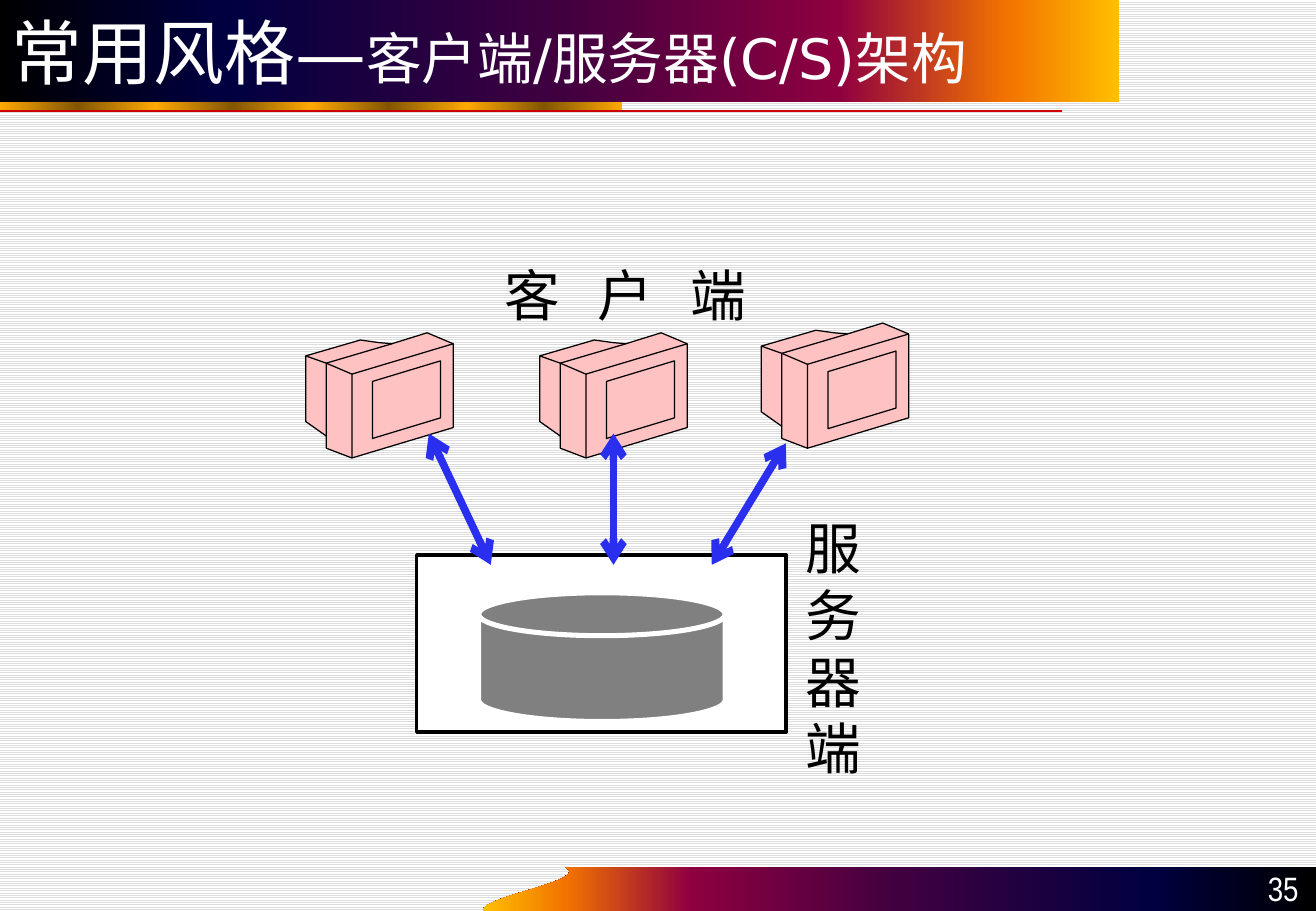
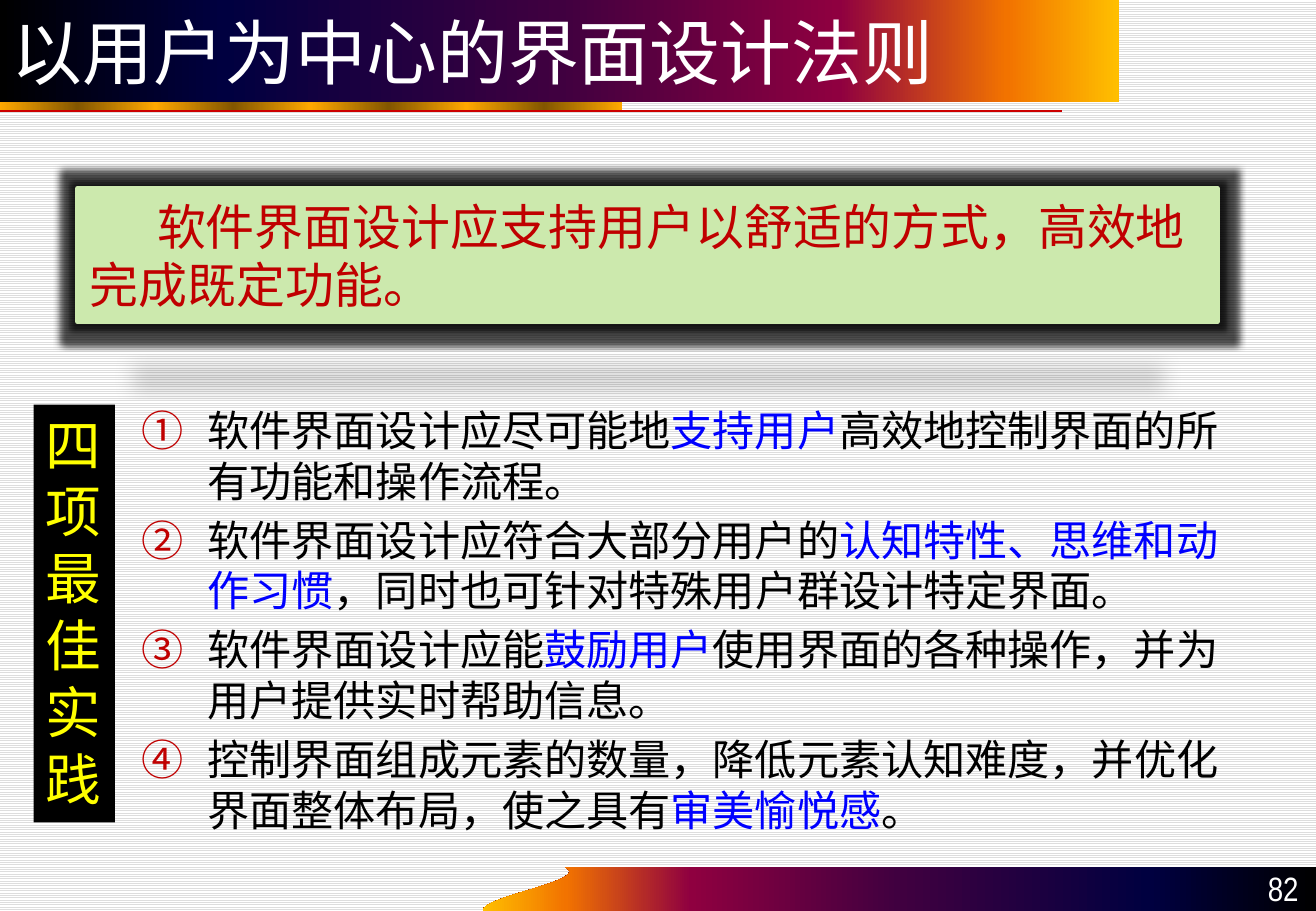
from lxml import etree
from pptx import Presentation
from pptx.dml.color import RGBColor
from pptx.enum.dml import MSO_PATTERN
from pptx.enum.shapes import MSO_CONNECTOR, MSO_SHAPE
from pptx.enum.text import MSO_ANCHOR, PP_ALIGN
from pptx.oxml.ns import qn
from pptx.util import Pt

RECT, DISK = MSO_SHAPE.RECTANGLE, MSO_SHAPE.FLOWCHART_MAGNETIC_DISK
STRAIGHT = MSO_CONNECTOR.STRAIGHT
TOP, MIDDLE, BOTTOM = MSO_ANCHOR.TOP, MSO_ANCHOR.MIDDLE, MSO_ANCHOR.BOTTOM
LEFT, CENTER, RIGHT = PP_ALIGN.LEFT, PP_ALIGN.CENTER, PP_ALIGN.RIGHT


class Theme:
    black, white, grey, stripe = "000000", "FFFFFF", "808080", "DDDDDD"
    red, rule, blue, yellow = "C00000", "CC0000", "0000FF", "FFFF00"
    pink, arrow, green = "FFC2C2", "292EEF", "CCE9AD"
    band = [(0, "000000"), (20, "000040"), (50, "400040"),
            (75, "8F0040"), (90, "F27300"), (100, "FFBF00")]
    gold = [(i * 12.5, ("FFA800", "825600")[i % 2]) for i in range(9)]
    sans, cjk, narrow = "DejaVu Sans", "Noto Sans CJK SC", "Arial Narrow"
    title, label, lead, body, page = 42, 33, 29, 25, 20


# Content: a run is (text, format values that differ from the box's own)
TITLE_CS = [("常用风格—", {}), ("客户端/服务器(C/S)架构", {"size": Theme.label})]
TITLE_UI = [("以用户为中心的界面设计法则", {})]
CLIENT, SERVER, SIDE = "客 户 端", "服务器端", "四项最佳实践"
LEAD = "软件界面设计应支持用户以舒适的方式，高效地完成既定功能。"
KEY = {"color": Theme.blue}
RULES = [
    [("软件界面设计应尽可能地", {}), ("支持用户", KEY),
     ("高效地控制界面的所有功能和操作流程。", {})],
    [("软件界面设计应符合大部分用户的", {}), ("认知特性、思维和动作习惯", KEY),
     ("，同时也可针对特殊用户群设计特定界面。", {})],
    [("软件界面设计应能", {}), ("鼓励用户", KEY),
     ("使用界面的各种操作，并为用户提供实时帮助信息。", {})],
    [("控制界面组成元素的数量，降低元素认知难度，并优化界面整体布局，使之具有", {}),
     ("审美愉悦感", KEY), ("。", {})],
]

# Outlines of one computer, from its own top left corner
CASE = [(27.4, 74.2), (12.2, 68.4), (12.2, 61.2), (0, 52.6), (0, 13.7),
        (32.4, 4.3), (43.2, 5.8), (51.1, 6.5), (72, 0), (87.4, 6.5), (87.4, 56.2)]
SCREEN = [(79.9, 50.4), (79.9, 16.6), (39.6, 28.8), (39.6, 62.6)]
EDGES = [[(0, 13.7), (12.2, 18), (27.4, 24.5)],
         [(12.2, 61.2), (12.2, 18), (51.1, 6.5)],
         [(87.4, 6.5), (27.4, 24.5), (27.4, 74.2)]]
CLIENTS = [(181.2, 197.3), (319.9, 197.3), (451.2, 191.5)]
ARROWS = [(254.2, 257, 290.9, 334.8), (363.6, 257, 363.6, 334.8),
          (465.8, 262.8, 421.9, 334.8)]


def rgb(code):
    return RGBColor.from_string(code)


def add(parent, tag, **values):
    node = etree.SubElement(parent, qn(tag))
    for name, value in values.items():
        node.set(name, str(value))
    return node


def paint(shape, fill=None, line=None, width=0.75):
    shape.shadow.inherit = False
    if fill:
        shape.fill.solid()
        shape.fill.fore_color.rgb = rgb(fill)
    else:
        shape.fill.background()
    if line:
        shape.line.color.rgb = rgb(line)
        shape.line.width = Pt(width)
    else:
        shape.line.fill.background()
    return shape


def blend(shape, stops, angle=0):
    """Fill a shape with a linear gradient of (percent, colour) stops."""
    paint(shape)
    shape.fill.gradient()
    shape.fill.gradient_angle = angle
    part = next(shape._element.iter(qn("a:gsLst")))
    part.clear()
    for pos, code in stops:
        stop = add(part, "a:gs", pos=int(pos * 1000))
        add(stop, "a:srgbClr", val=code)
    return shape


def block(slide, kind, box, **look):
    return paint(slide.shapes.add_shape(kind, *map(Pt, box)), **look)


def trace(slide, paths, at=(0, 0), close=True):
    """Draw point lists as one freeform, moved by at."""
    moved = [[(Pt(x + at[0]), Pt(y + at[1])) for x, y in path] for path in paths]
    pen = slide.shapes.build_freeform(*moved[0][0])
    for i, path in enumerate(moved):
        if i:
            pen.move_to(*path[0])
        pen.add_line_segments(path[1:], close=close)
    return pen.convert_to_shape()


def stroke(slide, ends, color, width, heads=False):
    line = slide.shapes.add_connector(STRAIGHT, *map(Pt, ends))
    line.line.color.rgb = rgb(color)
    line.line.width = Pt(width)
    if heads:
        for tag in ("a:headEnd", "a:tailEnd"):
            add(line.line._get_or_add_ln(), tag, type="arrow")
    add(line._element.spPr, "a:effectLst")


def write(shape, paras, size, color, font=Theme.sans, align=LEFT, anchor=TOP,
          wrap=True, gap=0, track=0):
    """Fill a shape with paragraphs, each a list of (text, format) runs."""
    frame = shape.text_frame
    frame.word_wrap, frame.vertical_anchor = wrap, anchor
    for i, runs in enumerate(paras):
        para = frame.add_paragraph() if i else frame.paragraphs[0]
        para.alignment, para.line_spacing = align, Pt(size * 1.2)
        para.space_before = Pt(gap if i else 0)
        for text, extra in runs:
            look = {"size": size, "color": color, **extra}
            run = para.add_run()
            run.text = text
            values = {"size": Pt(look["size"]), "name": font}
            for name, value in values.items():
                setattr(run.font, name, value)
            run.font.color.rgb = rgb(look["color"])
            props = run._r.get_or_add_rPr()
            add(props, "a:ea", typeface=font)
            if track:
                props.set("spc", str(int(track * 100)))
    return frame


def label(slide, box, paras, size, color, **look):
    shape = slide.shapes.add_textbox(*map(Pt, box))
    return write(shape, paras, size, color, **look)


def stack(text):
    """One paragraph for each character."""
    return [[(char, {})] for char in text]


def bezier(a, b, c, d, steps=16):
    for i in range(steps + 1):
        t = i / steps
        u = 1 - t
        yield tuple(u**3 * p + 3 * u * u * t * q + 3 * u * t * t * r + t**3 * s
                    for p, q, r, s in zip(a, b, c, d))


def start(prs, title, page):
    """Add a slide with the shared bands, its title and its number."""
    slide = prs.slides.add_slide(prs.slide_layouts[6])
    wave = list(bezier((286, 540), (286, 531), (351, 522), (335, 514)))
    blend(trace(slide, [wave + [(780, 514), (780, 540)]]), Theme.band, 180)
    blend(block(slide, RECT, (0, 55, 368.6, 10.5)), Theme.gold)
    stroke(slide, (0, 65.8, 629.3, 65.8), Theme.rule, 0.75)
    head = blend(block(slide, RECT, (0, 0, 663, 60.5)), Theme.band)
    write(head, [title], Theme.title, Theme.white, anchor=MIDDLE)
    label(slide, (707.8, 513.4, 69, 28.8), [[(page, {})]], Theme.page,
          Theme.white, font=Theme.narrow, align=RIGHT, anchor=BOTTOM)
    return slide


def draw_client(slide, at):
    look = {"fill": Theme.pink, "line": Theme.black}
    for path in (CASE, SCREEN):
        paint(trace(slide, [path], at), **look)
    paint(trace(slide, EDGES, at, close=False), line=Theme.black)


def build_cs(prs):
    slide = start(prs, TITLE_CS, "35")
    block(slide, RECT, (247, 329, 219, 105), fill=Theme.white,
          line=Theme.black, width=2)
    block(slide, DISK, (283.7, 351.4, 146.2, 76.3), fill=Theme.grey,
          line=Theme.white, width=3)
    for at in CLIENTS:
        draw_client(slide, at)
    for ends in ARROWS:
        stroke(slide, ends, Theme.arrow, 4.5, heads=True)
    label(slide, (470.2, 301, 47.5, 167), stack(SERVER), Theme.label,
          Theme.black, font=Theme.cjk, wrap=False)
    label(slide, (257.9, 151.2, 226, 47.5), [[(CLIENT, {})]], Theme.label,
          Theme.black, font=Theme.cjk, align=CENTER, track=7.4)


def add_glow(shape):
    """Dark halo round the shape and a flat shadow below it."""
    effects = shape._element.spPr.find(qn("a:effectLst"))
    halo = add(effects, "a:glow", rad=Pt(8))
    drop = add(effects, "a:outerShdw", blurRad=Pt(12), dist=Pt(25),
               dir=5400000, sx=90000, sy=-19000, rotWithShape=0)
    for node, alpha in ((halo, 70000), (drop, 15000)):
        add(add(node, "a:srgbClr", val=Theme.black), "a:alpha", val=alpha)


def number(para):
    props = para._p.get_or_add_pPr()
    props.set("marL", str(Pt(38.9)))
    props.set("indent", str(-Pt(38.9)))
    add(add(props, "a:buClr"), "a:srgbClr", val=Theme.red)
    add(props, "a:buFont", typeface=Theme.cjk)
    add(props, "a:buAutoNum", type="circleNumDbPlain")


def build_ui(prs):
    slide = start(prs, TITLE_UI, "82")
    rules = label(slide, (77, 236.2, 655, 255), RULES, Theme.body, Theme.black,
                  font=Theme.cjk, gap=5)
    for para in rules.paragraphs:
        number(para)
    lead = block(slide, RECT, (46, 111.6, 675.4, 79.2), fill=Theme.green,
                 line=Theme.green, width=3)
    frame = write(lead, [[(LEAD, {})]], Theme.lead, Theme.red, anchor=MIDDLE)
    frame.paragraphs[0]._p.get_or_add_pPr().set("indent", str(Pt(40)))
    add_glow(lead)
    side = block(slide, RECT, (20, 239.8, 48.2, 247.7), fill=Theme.black)
    write(side, stack(SIDE), Theme.label, Theme.yellow, wrap=False)


def main():
    prs = Presentation()
    prs.slide_width, prs.slide_height = Pt(780), Pt(540)
    back = prs.slide_master.background.fill
    back.patterned()
    back.pattern = MSO_PATTERN.LIGHT_HORIZONTAL
    back.fore_color.rgb, back.back_color.rgb = rgb(Theme.stripe), rgb(Theme.white)
    build_cs(prs)
    build_ui(prs)
    prs.save("out.pptx")


if __name__ == "__main__":
    main()
